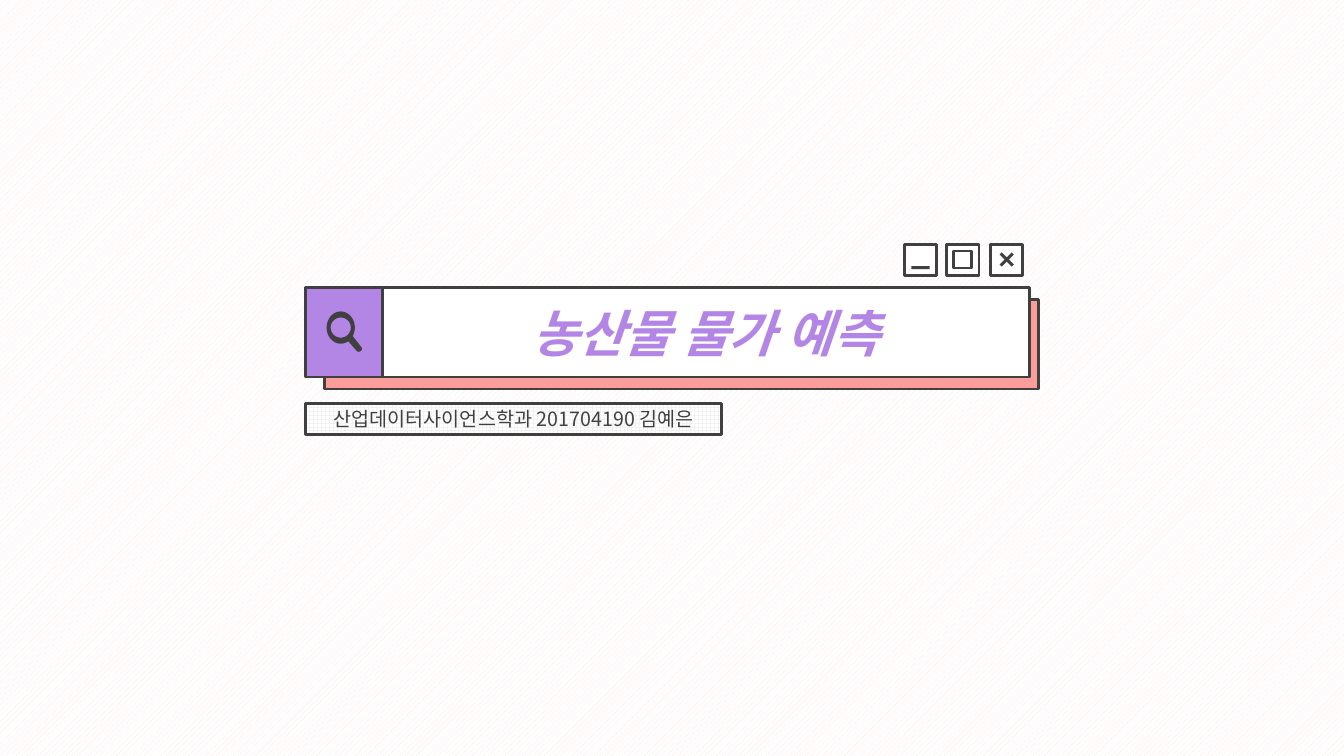
import math
from dataclasses import dataclass

import lxml.etree
import pptx
import pptx.dml.color
import pptx.enum.dml
import pptx.enum.shapes
import pptx.enum.text
import pptx.oxml.ns
import pptx.util

PX = 9144  # EMU per px, 100 px to the inch
PATTERN = pptx.enum.dml.MSO_PATTERN


@dataclass(frozen=True)
class Theme:
    font: str = "Noto Sans CJK KR"
    ink: str = "404040"
    paper: str = "FFFFFF"
    stripe: str = "FEDFDE"
    grid: str = "F2F2F2"
    coral: str = "FB9D9B"
    violet: str = "B386E5"
    title_size: int = 36
    byline_size: int = 14
    border: int = 2


def rgb(code):
    return pptx.dml.color.RGBColor.from_string(code)


def arc(center, radii, start, end, steps=48):
    """Points along an ellipse, angles in degrees, clockwise from the right."""
    angles = [math.radians(start + (end - start) * i / steps) for i in range(steps + 1)]
    return [(center[0] + radii[0] * math.cos(a), center[1] + radii[1] * math.sin(a))
            for a in angles]


class SlideMaker:
    def __init__(self, deck, theme):
        self.theme = theme
        self.page = deck.slides.add_slide(deck.slide_layouts[6])
        self.shapes = self.page.shapes

    def start_group(self):
        self.shapes = self.page.shapes.add_group_shape().shapes

    def end_group(self):
        self.shapes = self.page.shapes

    def pattern(self, fill, kind, fore):
        fill.patterned()
        fill.pattern = kind
        fill.fore_color.rgb = rgb(fore)
        fill.back_color.rgb = rgb(self.theme.paper)

    def finish(self, shape, color, bordered):
        shape.shadow.inherit = False
        shape.fill.solid()
        shape.fill.fore_color.rgb = rgb(color)
        if bordered:
            shape.line.color.rgb = rgb(self.theme.ink)
            shape.line.width = pptx.util.Pt(self.theme.border)
        else:
            shape.line.fill.background()

    def box(self, left, top, width, height, color, bordered=True, turn=0):
        shape = self.shapes.add_shape(
            pptx.enum.shapes.MSO_SHAPE.RECTANGLE,
            *(n * PX for n in (left, top, width, height)))
        self.finish(shape, color, bordered)
        shape.rotation = turn
        return shape

    def outline(self, contours, color):
        contours = [[(x * PX, y * PX) for x, y in points] for points in contours]
        builder = self.shapes.build_freeform(*contours[0][0], scale=1.0)
        for number, points in enumerate(contours):
            if number:
                builder.move_to(*points[0])
            builder.add_line_segments(points[1:], close=True)
        self.finish(builder.convert_to_shape(), color, False)

    def label(self, shape, words, size, color, strong=False):
        frame = shape.text_frame
        frame.word_wrap = True
        frame.vertical_anchor = pptx.enum.text.MSO_ANCHOR.MIDDLE
        para = frame.paragraphs[0]
        para.alignment = pptx.enum.text.PP_ALIGN.CENTER
        span = para.add_run()
        span.text = words
        span.font.size = pptx.util.Pt(size)
        span.font.bold = span.font.italic = strong
        span.font.color.rgb = rgb(color)
        span.font.name = self.theme.font
        # Hangul takes the East Asian typeface
        lxml.etree.SubElement(span._r.get_or_add_rPr(), pptx.oxml.ns.qn("a:ea"),
                              typeface=self.theme.font)


def main():
    deck = pptx.Presentation()
    deck.slide_width, deck.slide_height = 1333 * PX, 750 * PX
    theme = Theme()
    maker = SlideMaker(deck, theme)
    maker.pattern(maker.page.background.fill, PATTERN.WIDE_UPWARD_DIAGONAL, theme.stripe)

    # Window buttons
    maker.start_group()
    for left in (897, 939, 982):
        maker.box(left, 243, 32, 30, theme.paper)
    maker.box(946, 249, 18, 17, theme.paper)
    maker.box(904, 264, 18, 3, theme.ink, bordered=False)
    for turn in (45, 315):
        maker.box(990, 256, 17, 3, theme.ink, bordered=False, turn=turn)

    # Search bar with its offset backing
    maker.start_group()
    maker.box(322, 297, 708, 89, theme.coral)
    maker.box(303, 285, 76, 89, theme.violet)
    title = maker.box(379, 285, 642, 89, theme.paper)
    maker.label(title, "농산물 물가 예측", theme.title_size, theme.violet, strong=True)

    # Magnifier: lens opening, then rim running into the handle
    lens = (338, 325)
    opening = arc(lens, (10, 10), 0, 360)
    rim = arc(lens, (14, 16), 58, 392)
    handle_end = arc((356, 346), (3, 3), -45, 135, steps=12)
    maker.outline([opening, rim + handle_end], theme.ink)
    maker.end_group()

    # Byline
    byline = maker.box(303, 400, 413, 31, theme.paper)
    maker.pattern(byline.fill, PATTERN.LARGE_GRID, theme.grid)
    maker.label(byline, "산업데이터사이언스학과 201704190 김예은", theme.byline_size, theme.ink)

    deck.save("out.pptx")


if __name__ == "__main__":
    main()
